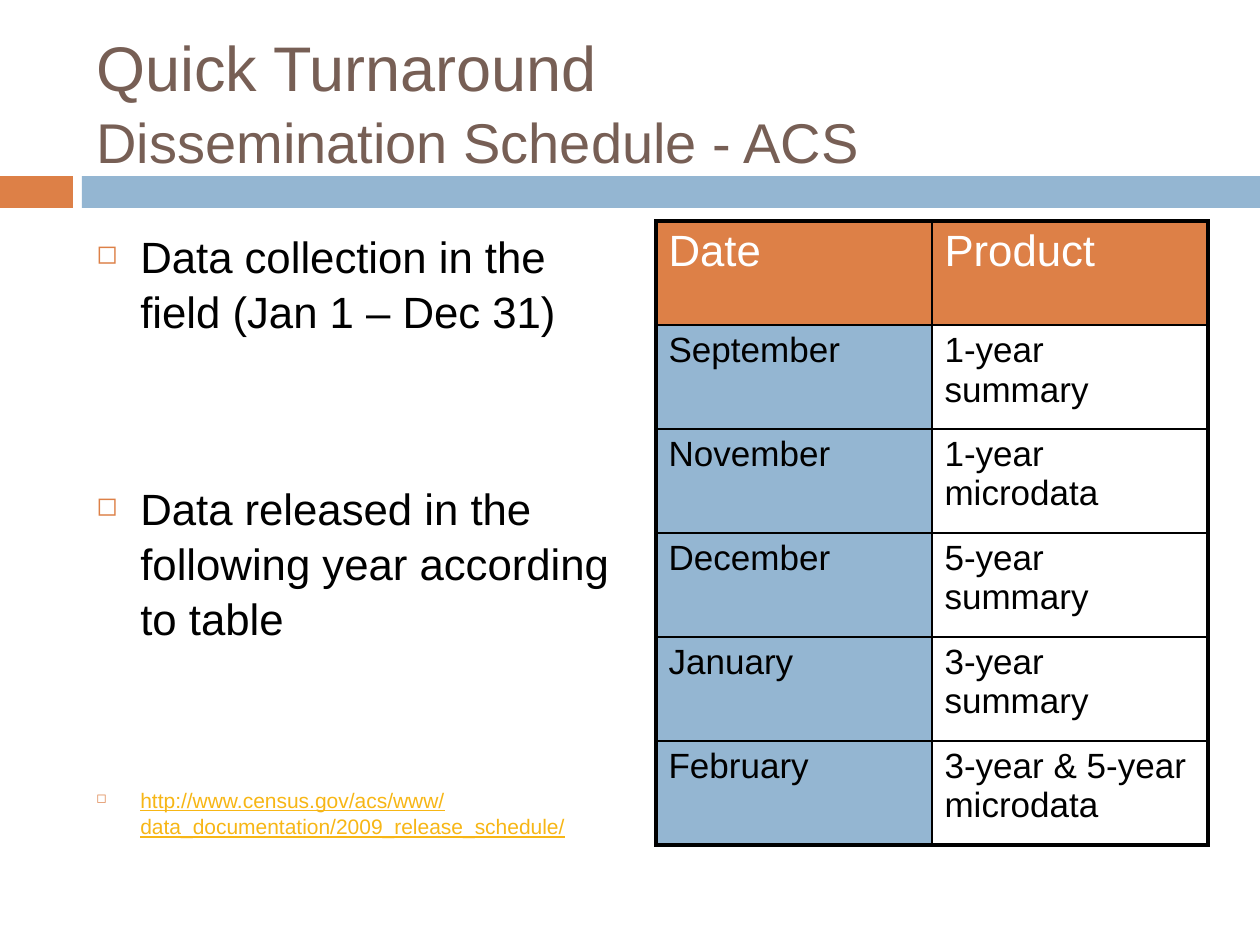
from lxml.etree import SubElement
from pptx import Presentation
from pptx.dml.color import RGBColor
from pptx.enum.shapes import MSO_SHAPE
from pptx.enum.text import MSO_ANCHOR
from pptx.oxml.ns import qn
from pptx.util import Emu, Pt

PX = 914400 / 126
FONT = "Arial"
BROWN = RGBColor(0x77, 0x5F, 0x55)
ORANGE = RGBColor(0xDD, 0x80, 0x47)
BLUE = RGBColor(0x94, 0xB6, 0xD2)
GOLD = RGBColor(0xF7, 0xB6, 0x15)
BLACK = RGBColor(0, 0, 0)
WHITE = RGBColor(0xFF, 0xFF, 0xFF)

BULLETS = [
    ("Data collection in the field (Jan 1 – Dec 31)", 25, BLACK, False),
    ("Data released in the following year according to table", 25, BLACK, False),
    ("http://www.census.gov/acs/www/data_documentation/2009_release_schedule/", 12, GOLD, True),
]
SCHEDULE = [
    ("Date", "Product"),
    ("September", "1-year summary"),
    ("November", "1-year microdata"),
    ("December", "5-year summary"),
    ("January", "3-year summary"),
    ("February", "3-year & 5-year microdata"),
]


def px(length):
    return Emu(round(length * PX))


def add_text(paragraph, text, *, size, color, underline=None):
    run = paragraph.add_run()
    run.text = text
    run.font.name = FONT
    run.font.size = Pt(size)
    run.font.color.rgb = color
    run.font.underline = underline


def add_text_frame(slide, box, anchor=MSO_ANCHOR.TOP):
    frame = slide.shapes.add_textbox(*map(px, box)).text_frame
    frame.word_wrap = True
    frame.vertical_anchor = anchor
    return frame


def add_bullet(paragraph):
    properties = paragraph._p.get_or_add_pPr()
    properties.set("marL", str(px(44)))
    properties.set("indent", str(-px(44)))
    color = SubElement(properties, qn("a:buClr"))
    SubElement(color, qn("a:srgbClr"), val=str(ORANGE))
    SubElement(properties, qn("a:buSzPct"), val="60000")
    SubElement(properties, qn("a:buChar"), char="◻")


def add_band(slide, box):
    left, top, width, height = box
    tab_width, gap = 73, 9
    bar_left = tab_width + gap
    for x, bar_width, color in ((0, tab_width, ORANGE), (bar_left, width - bar_left, BLUE)):
        bar = slide.shapes.add_shape(
            MSO_SHAPE.RECTANGLE, px(left + x), px(top), px(bar_width), px(height))
        bar.shadow.inherit = False
        bar.fill.solid()
        bar.fill.fore_color.rgb = color
        bar.line.fill.background()


def add_title(slide, box):
    paragraph = add_text_frame(slide, box, MSO_ANCHOR.MIDDLE).paragraphs[0]
    paragraph.line_spacing = 1.05
    add_text(paragraph, "Quick Turnaround", size=36, color=BROWN)
    paragraph.add_line_break()
    add_text(paragraph, "Dissemination Schedule - ACS", size=32, color=BROWN)


def add_bullets(slide, box):
    frame = add_text_frame(slide, box)
    for index, (text, size, color, underline) in enumerate(BULLETS):
        paragraph = frame.add_paragraph() if index else frame.paragraphs[0]
        paragraph.line_spacing = 1.05
        if index:
            paragraph.space_before = Pt(81)
        add_bullet(paragraph)
        add_text(paragraph, text, size=size, color=color, underline=underline)


def set_borders(cell, widths):
    properties = cell._tc.get_or_add_tcPr()
    for index, (side, width) in enumerate(widths.items()):
        line = properties.makeelement(qn(f"a:ln{side}"), {"w": str(Pt(width))})
        fill = SubElement(line, qn("a:solidFill"))
        SubElement(fill, qn("a:srgbClr"), val=str(BLACK))
        properties.insert(index, line)  # borders come before the cell fill


def add_schedule(slide, box):
    row_count, column_count = len(SCHEDULE), len(SCHEDULE[0])
    table = slide.shapes.add_table(row_count, column_count, *map(px, box)).table
    table.first_row = table.horz_banding = False
    for row, texts in enumerate(SCHEDULE):
        for column, text in enumerate(texts):
            cell = table.cell(row, column)
            header = row == 0
            if header or column == 0:
                cell.fill.solid()
                cell.fill.fore_color.rgb = ORANGE if header else BLUE
            else:
                cell.fill.background()
            add_text(cell.text_frame.paragraphs[0], text,
                     size=25 if header else 20, color=WHITE if header else BLACK)
            outer = {"L": column == 0, "R": column == column_count - 1,
                     "T": header, "B": row == row_count - 1}
            set_borders(cell, {side: 2.25 if edge else 1 for side, edge in outer.items()})


def main():
    presentation = Presentation()
    presentation.slide_width, presentation.slide_height = px(1260), px(945)
    slide = presentation.slides.add_slide(presentation.slide_layouts[6])

    # Heading and the band below it
    add_band(slide, (0, 176, 1260, 32))
    add_title(slide, (84, 32, 1124, 136))

    # Two columns: notes and release table
    add_bullets(slide, (84, 221, 552, 624))
    add_schedule(slide, (656, 221, 552, 624))

    presentation.save("out.pptx")


if __name__ == "__main__":
    main()
